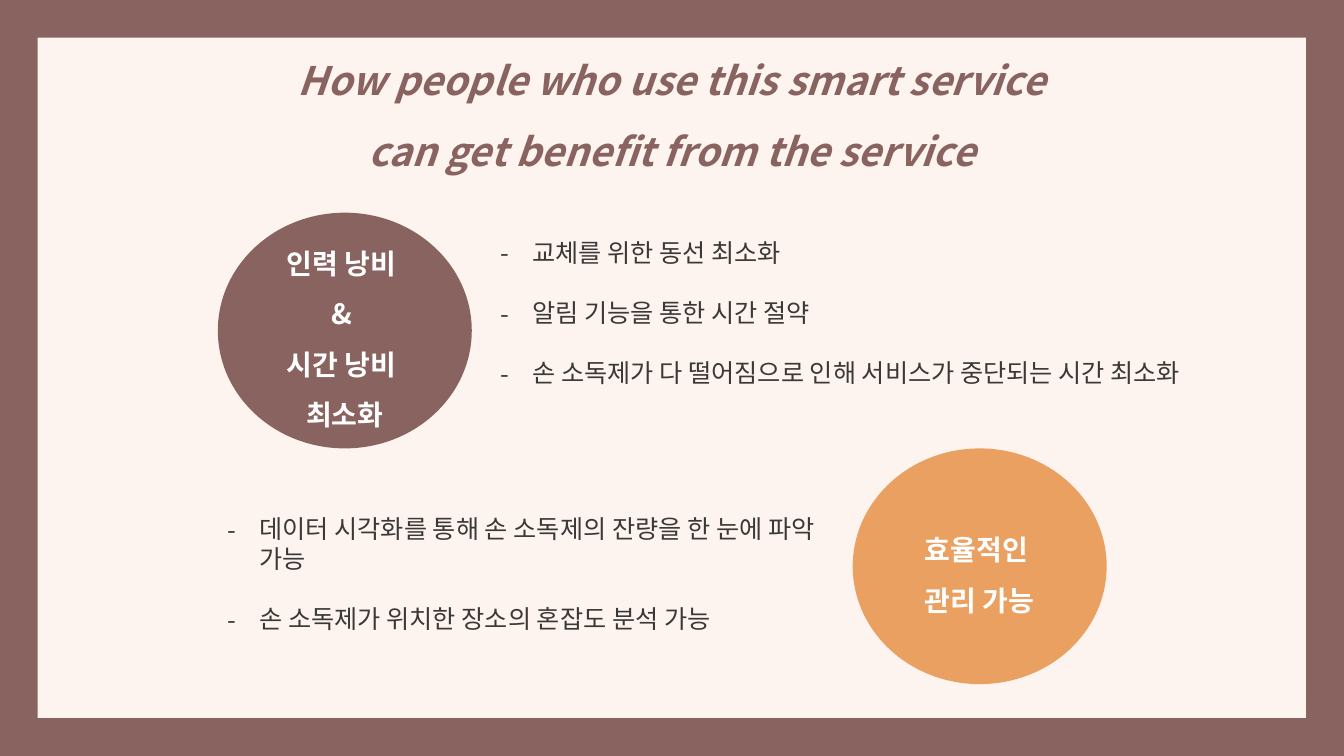
"""Build the slide on the benefits of the smart sanitizer service."""
from dataclasses import dataclass

import pptx
import pptx.dml.color
import pptx.enum.shapes
import pptx.enum.text
import pptx.oxml.ns
import pptx.util
from lxml import etree

Cm = pptx.util.Cm
Pt = pptx.util.Pt
SHAPE = pptx.enum.shapes.MSO_SHAPE
ALIGN = pptx.enum.text.PP_ALIGN
ANCHOR = pptx.enum.text.MSO_ANCHOR
qn = pptx.oxml.ns.qn


@dataclass(frozen=True)
class Theme:
    font: str = "Noto Sans CJK KR"
    paper: str = "FDF4EF"
    brown: str = "896360"
    orange: str = "E9A060"
    ink: str = "3B3838"
    white: str = "FFFFFF"
    title_size: int = 28
    circle_size: int = 20
    list_size: int = 18
    list_gap: float = 21.6


THEME = Theme()


def rgb(colour):
    return pptx.dml.color.RGBColor.from_string(colour)


def format_runs(p, size, colour, bold=False, italic=False):
    for r in p.runs:
        r.font.size = Pt(size)
        r.font.bold = bold
        r.font.italic = italic
        r.font.color.rgb = rgb(colour)
        r.font.name = THEME.font
        latin = r.font._element.find(qn("a:latin"))
        ea = etree.Element(qn("a:ea"), typeface=THEME.font)
        latin.addnext(ea)


def place(sp, box):
    sp.left, sp.top, sp.width, sp.height = (Cm(v) for v in box)
    tf = sp.text_frame
    tf.word_wrap = True
    tf.auto_size = pptx.enum.text.MSO_AUTO_SIZE.NONE
    tf.vertical_anchor = ANCHOR.TOP
    return tf


def add_title(sp, box, text):
    tf = place(sp, box)
    tf.text = text
    p = tf.paragraphs[0]
    p.alignment = ALIGN.CENTER
    p.line_spacing = 1.5
    format_runs(p, THEME.title_size, THEME.brown, bold=True, italic=True)


def add_dash_list(sp, box, items):
    tf = place(sp, box)
    tf.text = "\n".join(items)
    for i, p in enumerate(tf.paragraphs):
        pPr = p._p.get_or_add_pPr()
        pPr.set("marL", str(Cm(0.79)))
        pPr.set("indent", str(-Cm(0.79)))
        etree.SubElement(pPr, qn("a:buFont"), typeface=THEME.font)
        etree.SubElement(pPr, qn("a:buChar"), char="-")
        p.alignment = ALIGN.LEFT
        p.space_before = Pt(THEME.list_gap if i else 0)
        format_runs(p, THEME.list_size, THEME.ink)


def add_filled_shape(s, kind, box, colour):
    sp = s.shapes.add_shape(kind, *(Cm(v) for v in box))
    sp.shadow.inherit = False
    sp.fill.solid()
    sp.fill.fore_color.rgb = rgb(colour)
    sp.line.fill.background()
    return sp


def add_circle(s, left, top, colour, lines):
    sp = add_filled_shape(s, SHAPE.OVAL, (left, top, 6.4, 5.94), colour)
    tf = sp.text_frame
    tf.word_wrap = True
    tf.vertical_anchor = ANCHOR.MIDDLE
    tf.text = "\n".join(lines)
    for p in tf.paragraphs:
        p.alignment = ALIGN.CENTER
        p.line_spacing = 1.5
        format_runs(p, THEME.circle_size, THEME.white, bold=True)


def main():
    prs = pptx.Presentation()
    prs.slide_width, prs.slide_height = Cm(33.87), Cm(19.05)
    s = prs.slides.add_slide(prs.slide_layouts[3])
    s.background.fill.solid()
    s.background.fill.fore_color.rgb = rgb(THEME.paper)

    frame = add_filled_shape(s, SHAPE.FRAME, (0, 0, 33.87, 19.05), THEME.brown)
    frame.adjustments[0] = 0.05

    add_title(s.shapes.title, (6.48, 0.71, 20.88, 3.61),
              "How people who use this smart service can get benefit from the service")
    add_circle(s, 5.49, 5.36, THEME.brown,
               ["인력 낭비 ", "& ", "시간 낭비 ", "최소화"])
    add_dash_list(s.placeholders[1], (12.37, 5.84, 17.81, 5.64), [
        "교체를 위한 동선 최소화",
        "알림 기능을 통한 시간 절약",
        "손 소독제가 다 떨어짐으로 인해 서비스가 중단되는 시간 최소화",
    ])
    add_circle(s, 21.49, 11.3, THEME.orange, ["효율적인 ", "관리 가능"])
    add_dash_list(s.placeholders[2], (5.49, 12.8, 16.13, 3.33), [
        "데이터 시각화를 통해 손 소독제의 잔량을 한 눈에 파악 가능",
        "손 소독제가 위치한 장소의 혼잡도 분석 가능",
    ])
    prs.save("out.pptx")


if __name__ == "__main__":
    main()
